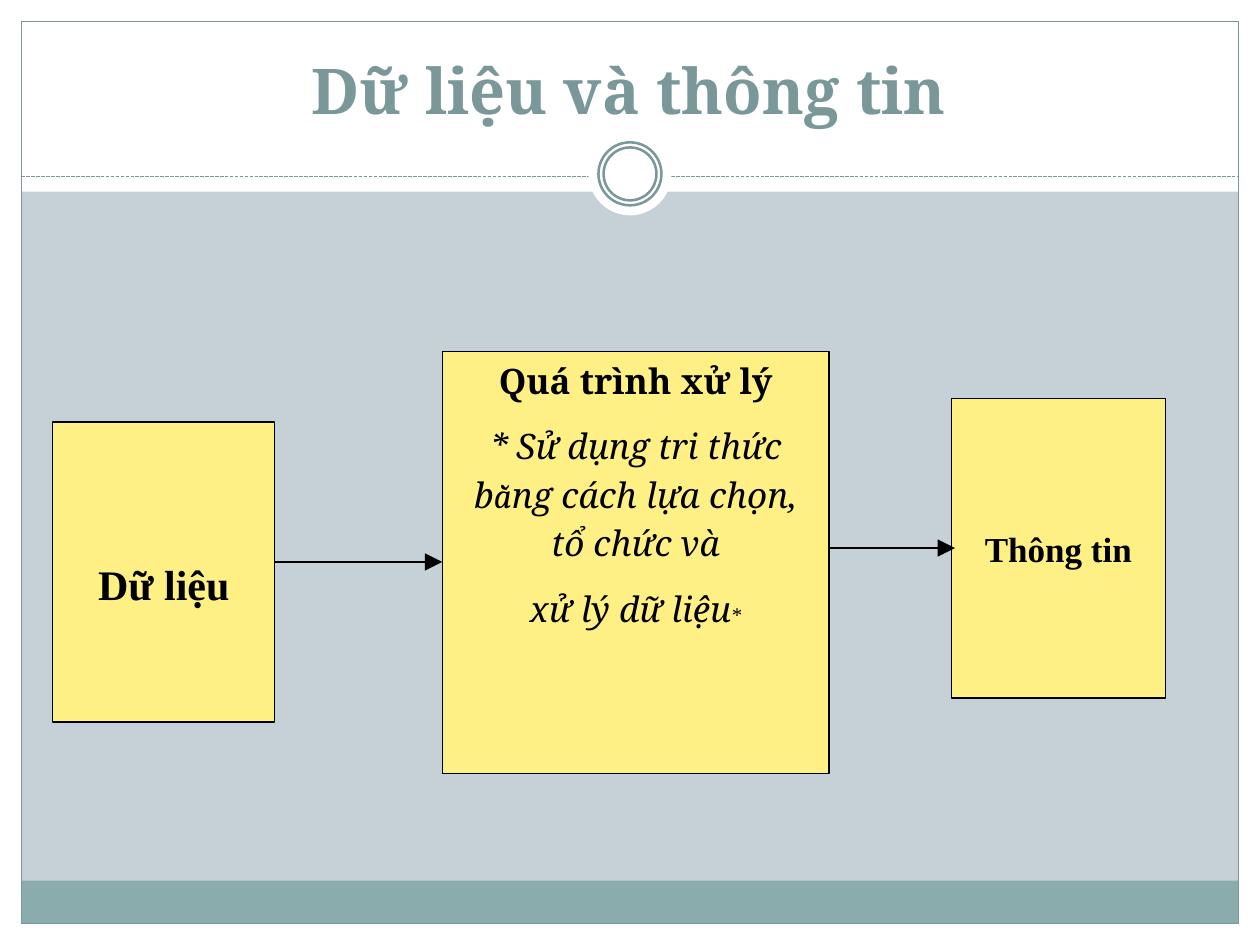
"""Build the slide that shows data being processed into information."""
from dataclasses import dataclass
from itertools import groupby

from lxml.etree import SubElement
from pptx import Presentation
from pptx.dml.color import RGBColor
from pptx.enum.dml import MSO_LINE
from pptx.enum.shapes import MSO_CONNECTOR, MSO_SHAPE
from pptx.enum.text import MSO_ANCHOR as Anchor, MSO_AUTO_SIZE, PP_ALIGN
from pptx.oxml.ns import qn
from pptx.util import Inches, Pt


@dataclass(frozen=True)
class Theme:
    paper: str = "FFFFFF"
    panel: str = "C5D1D6"
    band: str = "8BACAD"
    accent: str = "7A9799"
    note: str = "FFF085"
    ink: str = "000000"
    serif: str = "Noto Serif"
    accented: str = "Cambria"
    label: str = "Times New Roman"
    title_size: float = 36
    data_size: float = 24
    text_size: float = 20
    mark_size: float = 12
    hairline: float = 0.72
    ring_line: float = 1.44
    arrow_line: float = 1.1


@dataclass(frozen=True)
class Box:
    left: float
    top: float
    width: float
    height: float
    fill: str | None = None
    line: str | None = None
    weight: float = 0.72
    preset: MSO_SHAPE = MSO_SHAPE.RECTANGLE


@dataclass(frozen=True)
class Arrow:
    start: float
    end: float
    y: float


THEME = Theme()


def circle(radius: float, **style) -> Box:
    return Box(5 - radius, 1.38 - radius, 2 * radius, 2 * radius,
               preset=MSO_SHAPE.OVAL, **style)


def draw_box(slide, box: Box):
    shape = slide.shapes.add_shape(
        box.preset, *map(Inches, (box.left, box.top, box.width, box.height)))
    shape.shadow.inherit = False
    if box.fill:
        shape.fill.solid()
        shape.fill.fore_color.rgb = RGBColor.from_string(box.fill)
    else:
        shape.fill.background()
    if box.line:
        shape.line.color.rgb = RGBColor.from_string(box.line)
        shape.line.width = Pt(box.weight)
    else:
        shape.line.fill.background()
    return shape


def draw_line(slide, start: float, end: float, y: float, color: str, weight: float):
    line = slide.shapes.add_connector(
        MSO_CONNECTOR.STRAIGHT, *map(Inches, (start, y, end, y)))
    line.line.color.rgb = RGBColor.from_string(color)
    line.line.width = Pt(weight)
    return line


def flatten(line) -> None:
    SubElement(line._element.spPr, qn("a:effectLst"))


def draw_arrow(slide, arrow: Arrow) -> None:
    line = draw_line(slide, arrow.start, arrow.end, arrow.y, THEME.ink, THEME.arrow_line)
    SubElement(line.line._get_or_add_ln(), qn("a:tailEnd"),
               type="triangle", w="lg", len="lg")
    flatten(line)


def prepare_frame(shape, anchor: Anchor, top: float = 0, side: float = 0, wrap: bool = True):
    frame = shape.text_frame
    frame.auto_size = MSO_AUTO_SIZE.NONE
    frame.word_wrap = wrap
    frame.vertical_anchor = anchor
    frame.margin_left = frame.margin_right = Inches(side)
    frame.margin_top, frame.margin_bottom = Inches(top), 0
    return frame


def write(paragraph, text: str, *, size: float, font: str = THEME.serif,
          color: str = THEME.ink, bold: bool = False, italic: bool = False,
          before: float = 0, spacing: float = 1) -> None:
    paragraph.alignment = PP_ALIGN.CENTER
    paragraph.space_before = Pt(before)
    paragraph.line_spacing = spacing
    for is_accented, letters in groupby(text, lambda letter: ord(letter) >= 0x1A0):
        run = paragraph.add_run()
        run.text = "".join(letters)
        use_accented = is_accented and font == THEME.serif
        run.font.name = THEME.accented if use_accented else font
        run.font.size = Pt(size)
        run.font.bold, run.font.italic = bold, italic
        run.font.color.rgb = RGBColor.from_string(color)


def draw_frame(slide) -> None:
    draw_box(slide, Box(0.17, 1.52, 9.66, 5.81, THEME.panel))
    draw_box(slide, Box(0.17, 6.99, 9.66, 0.34, THEME.band))
    draw_box(slide, Box(0.17, 0.17, 9.66, 7.16, line=THEME.accent))
    divider = draw_line(slide, 0.17, 9.83, 1.4, THEME.accent, THEME.hairline)
    divider.line.dash_style = MSO_LINE.SQUARE_DOT
    flatten(divider)
    draw_box(slide, circle(0.33, fill=THEME.paper))
    for radius in (0.25, 0.21):
        draw_box(slide, circle(radius, line=THEME.accent, weight=THEME.ring_line))


def draw_title(slide) -> None:
    title = slide.shapes.title
    title.left, title.top, title.width, title.height = map(Inches, (2.47, 0.4, 5.04, 0.63))
    frame = prepare_frame(title, Anchor.TOP, top=0.01, wrap=False)
    write(frame.paragraphs[0], "Dữ liệu và thông tin", size=THEME.title_size,
          color=THEME.accent, bold=True, before=1)


def draw_process(slide) -> None:
    process = draw_box(slide, Box(3.51, 2.79, 3.07, 3.35, THEME.note, THEME.ink))
    frame = prepare_frame(process, Anchor.TOP, top=0.06, side=0.14)
    heading, method, outcome = (
        frame.paragraphs[0], frame.add_paragraph(), frame.add_paragraph())
    write(heading, "Quá trình xử lý", size=THEME.text_size, bold=True, before=4.3)
    write(method, "* Sử dụng tri thức bằng cách lựa chọn, tổ chức và",
          size=THEME.text_size, italic=True, before=10, spacing=1.15)
    for text, size, font in (("xử lý dữ liệu", THEME.text_size, THEME.serif),
                             ("*", THEME.mark_size, THEME.label)):
        write(outcome, text, size=size, font=font, italic=True, before=13.6)


def draw_label(slide, box: Box, text: str, size: float, top: float = 0) -> None:
    frame = prepare_frame(draw_box(slide, box), Anchor.MIDDLE, top=top)
    write(frame.paragraphs[0], text, size=size, font=THEME.label, bold=True)


def main() -> None:
    deck = Presentation()
    deck.slide_width, deck.slide_height = Inches(10), Inches(7.5)
    slide = deck.slides.add_slide(deck.slide_layouts[5])
    slide.background.fill.solid()
    slide.background.fill.fore_color.rgb = RGBColor.from_string(THEME.paper)
    draw_frame(slide)
    draw_title(slide)
    draw_process(slide)
    draw_label(slide, Box(0.42, 3.35, 1.76, 2.38, THEME.note, THEME.ink),
               "Dữ liệu", THEME.data_size, top=0.19)
    draw_label(slide, Box(7.55, 3.16, 1.7, 2.38, THEME.note, THEME.ink),
               "Thông tin", THEME.text_size)
    for arrow in (Arrow(2.18, 3.51, 4.46), Arrow(6.57, 7.58, 4.35)):
        draw_arrow(slide, arrow)
    deck.save("out.pptx")


main()
